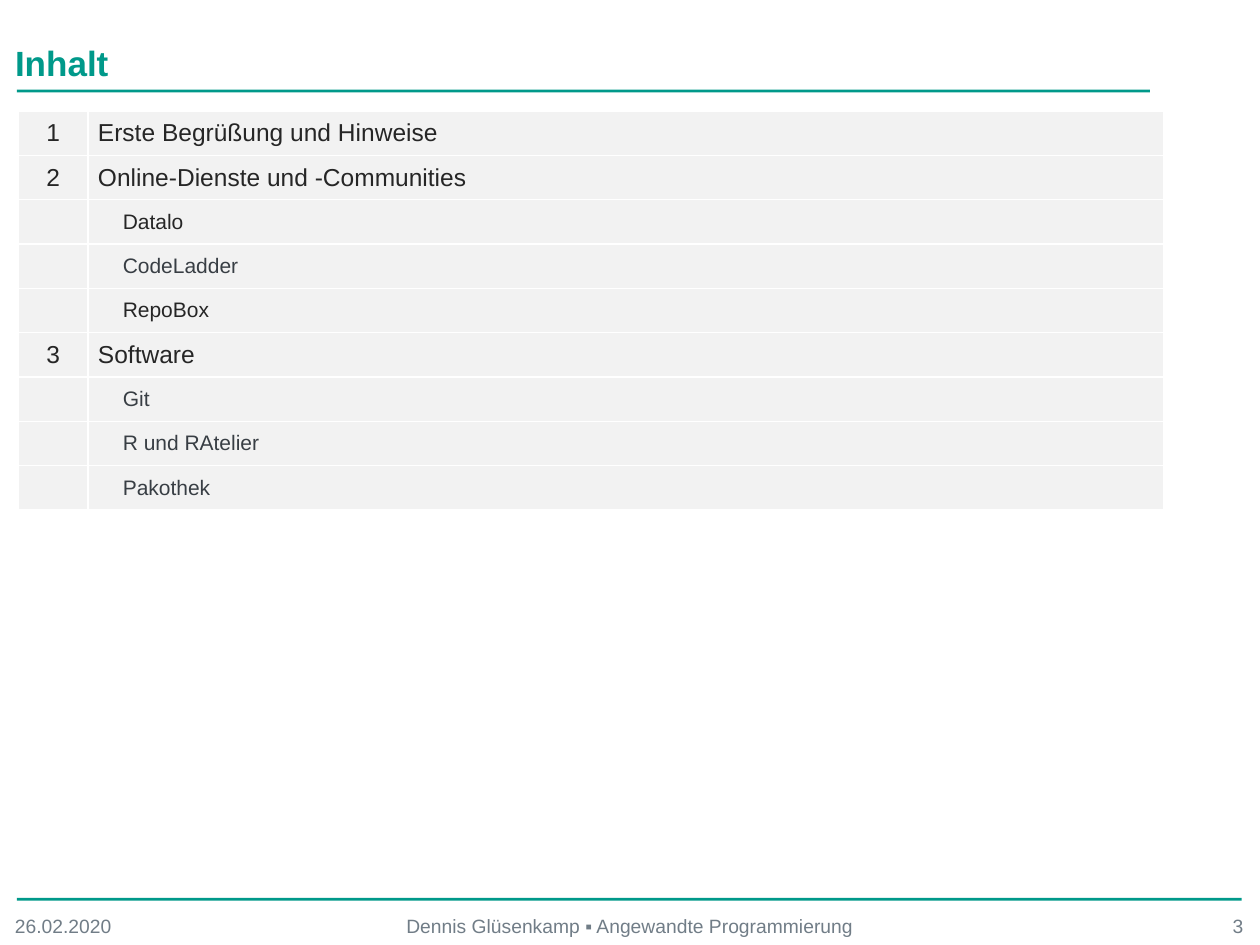
from lxml import etree
from pptx import Presentation
from pptx import util as u
from pptx.dml.color import RGBColor
from pptx.enum import shapes, text
from pptx.oxml.ns import qn

Pt = u.Pt
TEAL = RGBColor(0x00, 0x99, 0x8A)
GREY = RGBColor(0x71, 0x7D, 0x87)
DARK = RGBColor(0x26, 0x26, 0x26)
SLATE = RGBColor(0x38, 0x3E, 0x44)
PALE = RGBColor(0xF2, 0xF2, 0xF2)
LEFT, CENTER, RIGHT = text.PP_ALIGN.LEFT, text.PP_ALIGN.CENTER, text.PP_ALIGN.RIGHT
MIDDLE = text.MSO_ANCHOR.MIDDLE

# Number, entry, colour; entries without a number are indented
AGENDA = [
    ("1", "Erste Begrüßung und Hinweise", DARK),
    ("2", "Online-Dienste und -Communities", DARK),
    ("", "Datalo", DARK),
    ("", "CodeLadder", SLATE),
    ("", "RepoBox", DARK),
    ("3", "Software", DARK),
    ("", "Git", SLATE),
    ("", "R und RAtelier", SLATE),
    ("", "Pakothek", SLATE),
]
COLUMNS = (40, 614.5)
ROW_HEIGHT = 25.36


def write(tf, content, color, size, align=LEFT, bold=False):
    p = tf.paragraphs[0]
    p.alignment = align
    r = p.add_run()
    r.text = content
    r.font.color.rgb = color
    for name, value in {"name": "Arial", "size": Pt(size), "bold": bold}.items():
        setattr(r.font, name, value)
    return p


def add_rule(s, left, top, width):
    sp = s.shapes.add_shape(shapes.MSO_SHAPE.RECTANGLE,
                            Pt(left), Pt(top), Pt(width), Pt(1.6))
    sp.shadow.inherit = False
    sp.fill.solid()
    sp.fill.fore_color.rgb = TEAL
    sp.line.fill.background()


def add_title(s, content):
    sp = s.shapes.title
    box = {"left": 1.4, "top": 21.6, "width": 656.6, "height": 28}
    for name, value in box.items():
        setattr(sp, name, Pt(value))
    tf = sp.text_frame
    tf.vertical_anchor = MIDDLE
    tf.auto_size = text.MSO_AUTO_SIZE.NONE
    p = write(tf, content, TEAL, 20, bold=True)
    p.space_before = Pt(4)


def add_footer(s, content, left, width, align):
    sp = s.shapes.add_textbox(Pt(left), Pt(517.7), Pt(width), Pt(22.3))
    tf = sp.text_frame
    tf.word_wrap = True
    tf.vertical_anchor = MIDDLE
    write(tf, content, GREY, 11, align)


def format_cell(cell):
    margins = {"margin_left": 5.6, "margin_right": 5.6,
               "margin_top": 0, "margin_bottom": 0}
    for name, value in margins.items():
        setattr(cell, name, Pt(value))
    cell.vertical_anchor = MIDDLE
    cell.fill.solid()
    cell.fill.fore_color.rgb = PALE
    # White borders stand before the fill in the cell properties
    tc_pr = cell._tc.get_or_add_tcPr()
    for i, side in enumerate(("a:lnL", "a:lnR", "a:lnT", "a:lnB")):
        ln = etree.Element(qn(side), w=str(Pt(1)))
        fill = etree.SubElement(ln, qn("a:solidFill"))
        etree.SubElement(fill, qn("a:srgbClr"), val="FFFFFF")
        tc_pr.insert(i, ln)


def add_agenda(s):
    frame = s.shapes.add_table(len(AGENDA), len(COLUMNS), Pt(10.4), Pt(63.4),
                               Pt(sum(COLUMNS)), Pt(ROW_HEIGHT * len(AGENDA)))
    table = frame.table
    table.first_row = table.horz_banding = False
    for column, width in zip(table.columns, COLUMNS):
        column.width = Pt(width)
    for row, (number, entry, color) in zip(table.rows, AGENDA):
        row.height = Pt(ROW_HEIGHT)
        for cell in row.cells:
            format_cell(cell)
        number_cell, entry_cell = row.cells
        if number:
            write(number_cell.text_frame, number, color, 14, CENTER)
        p = write(entry_cell.text_frame, entry, color, 14 if number else 12)
        if not number:
            p._p.get_or_add_pPr().set("indent", str(Pt(14.2)))


def main():
    prs = Presentation()
    prs.slide_width, prs.slide_height = Pt(720), Pt(540)
    s = prs.slides.add_slide(prs.slide_layouts[5])

    # Rules above the footer and below the title
    add_rule(s, 9.6, 513.1, 700)
    add_rule(s, 9.6, 51.2, 647.5)

    # Footer
    add_footer(s, "3", 597.6, 120, RIGHT)
    add_footer(s, "Dennis Glüsenkamp ▪ Angewandte Programmierung", 141, 437.8, CENTER)
    add_footer(s, "26.02.2020", 1.4, 120, LEFT)

    # Title and agenda
    add_title(s, "Inhalt")
    add_agenda(s)
    prs.save("out.pptx")


if __name__ == "__main__":
    main()
